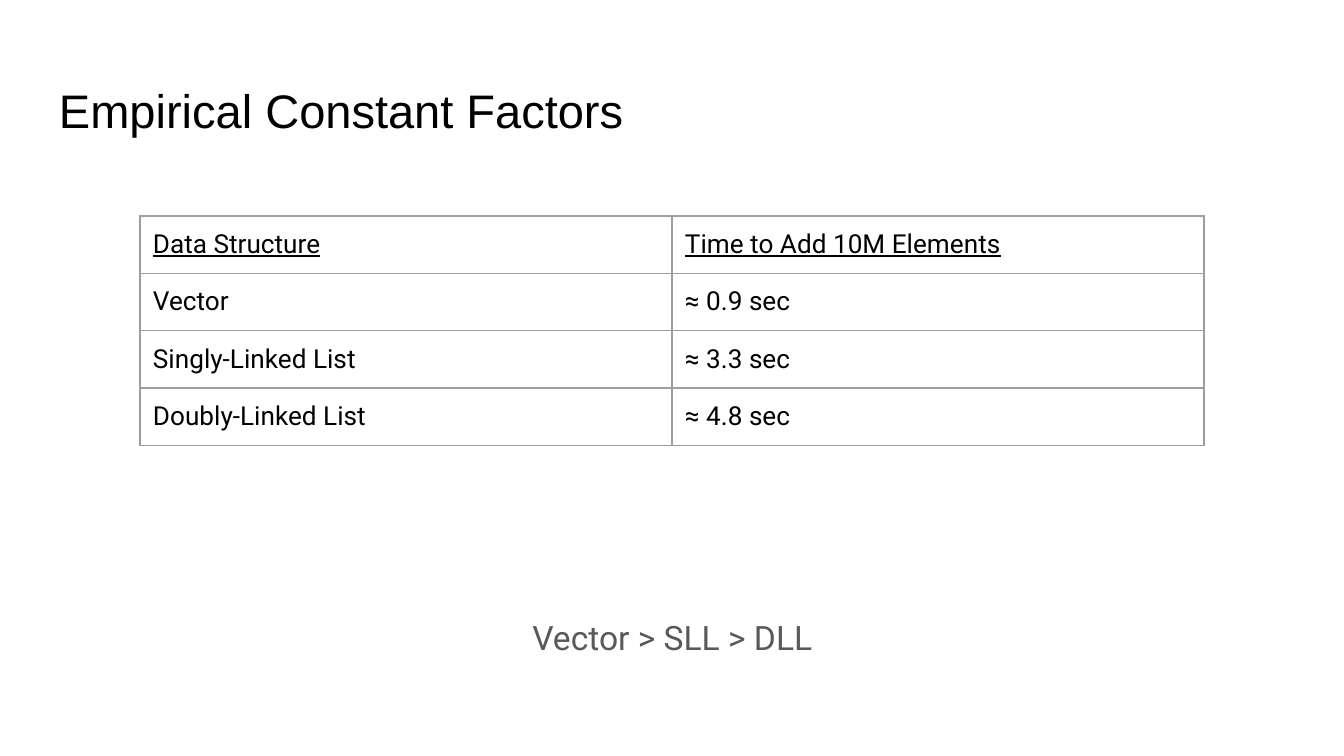
from lxml import etree
from pptx import Presentation
from pptx.dml.color import RGBColor
from pptx.enum import text
from pptx.oxml import ns
from pptx.util import Emu, Pt

PX = 914400 / 134.4
INSET = 13
COLORS = {"ink": "000000", "muted": "595959", "border": "9E9E9E", "page": "FFFFFF"}
ROWS = [
    ("Data Structure", "Time to Add 10M Elements"),
    ("Vector", "≈ 0.9 sec"),
    ("Singly-Linked List", "≈ 3.3 sec"),
    ("Doubly-Linked List", "≈ 4.8 sec"),
]


def px(length):
    return Emu(round(length * PX))


def color(name):
    return RGBColor.from_string(COLORS[name])


def set_margins(holder):
    for side in ("left", "top", "right", "bottom"):
        setattr(holder, f"margin_{side}", px(INSET))


def style(para, font_name, size, ink, underline=False):
    para.font.name = font_name
    para.font.size = Pt(size)
    para.font.color.rgb = color(ink)
    para.font.underline = underline


def add_text(page, words, top, height, font_name, size, ink):
    box = page.shapes.add_textbox(px(46), px(top), px(1253), px(height))
    frame = box.text_frame
    frame.word_wrap = True
    frame.vertical_anchor = text.MSO_ANCHOR.MIDDLE
    set_margins(frame)
    para = frame.paragraphs[0]
    para.text = words
    style(para, font_name, size, ink)
    return para


def add_borders(cell):
    properties = cell._tc.get_or_add_tcPr()
    for index, side in enumerate(("lnL", "lnR", "lnT", "lnB")):
        line = etree.Element(ns.qn(f"a:{side}"), w=str(Pt(0.75)))
        fill = etree.SubElement(line, ns.qn("a:solidFill"))
        etree.SubElement(fill, ns.qn("a:srgbClr"), val=COLORS["border"])
        properties.insert(index, line)


def add_times_table(page, left, top, column_width, row_height):
    count, columns = len(ROWS), len(ROWS[0])
    frame = page.shapes.add_table(count, columns, px(left), px(top),
                                  px(column_width * columns), px(row_height * count))
    table = frame.table
    table.horz_banding = False
    table.first_row = False
    for row_index, words in enumerate(ROWS):
        for column_index, label in enumerate(words):
            cell = table.cell(row_index, column_index)
            cell.text = label
            cell.fill.background()
            set_margins(cell)
            add_borders(cell)
            style(cell.text_frame.paragraphs[0], "Roboto", 14, "ink",
                  underline=row_index == 0)


def main():
    deck = Presentation()
    deck.slide_width, deck.slide_height = px(1344), px(756)
    page = deck.slides.add_slide(deck.slide_layouts[6])
    page.background.fill.solid()
    page.background.fill.fore_color.rgb = color("page")

    # Title
    add_text(page, "Empirical Constant Factors", 67, 85, "Arial", 25.2, "ink")

    # Measured times
    add_times_table(page, 140, 216, 532, 57)

    # Ranking
    ranking = add_text(page, "Vector > SLL > DLL", 606, 66, "Roboto", 18, "muted")
    ranking.alignment = text.PP_ALIGN.CENTER
    ranking.line_spacing = 0.95

    deck.save("out.pptx")


if __name__ == "__main__":
    main()
